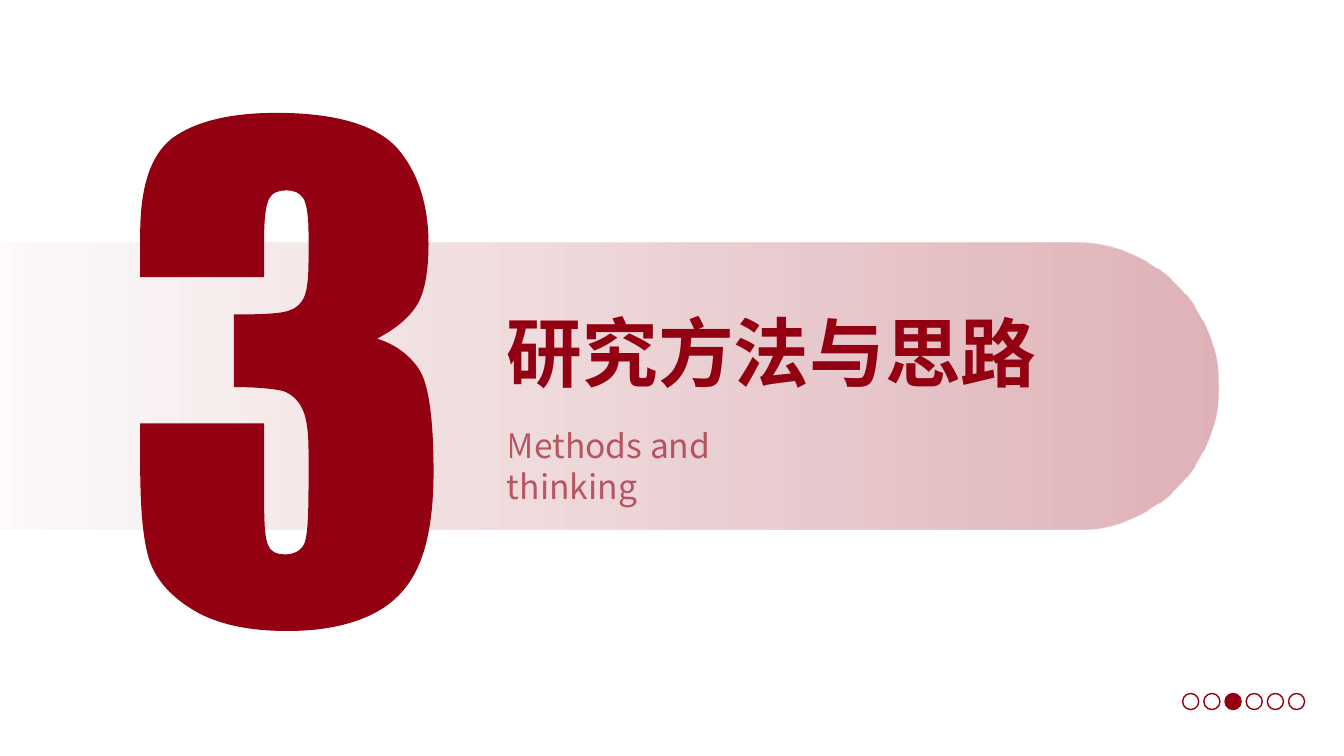
from lxml import etree
from pptx import Presentation
from pptx import util as u
from pptx.dml.color import RGBColor
from pptx.enum import shapes, text
from pptx.oxml.ns import qn

PX = 9144  # EMU per px, 100 px to the inch
COLORS = {"crimson": "920011"}
FONT = "Noto Sans CJK SC"

# Outline of the numeral: two numbers draw a line, six a cubic curve
NUMERAL_START = (274, 112)
NUMERAL_STEPS = [
    (333, 112, 373, 124, 394, 147), (414, 170, 425, 202, 425, 242),
    (425, 270, 421, 290, 414, 302), (406, 315, 393, 326, 374, 336),
    (393, 342, 407, 353, 416, 367), (425, 381, 430, 415, 430, 468),
    (430, 507, 425, 538, 416, 559), (407, 581, 392, 598, 370, 609),
    (348, 620, 320, 626, 285, 626), (246, 626, 215, 619, 193, 606),
    (171, 593, 156, 577, 149, 558), (142, 539, 139, 506, 139, 459),
    (139, 420), (262, 420), (262, 500),
    (262, 521, 263, 535, 266, 541), (268, 547, 274, 550, 283, 550),
    (292, 550, 299, 546, 302, 539), (305, 531, 306, 512, 306, 481),
    (306, 447),
    (306, 428, 304, 414, 300, 406), (296, 397, 289, 391, 281, 388),
    (273, 386, 256, 384, 232, 384),
    (232, 312),
    (262, 312, 280, 311, 287, 308), (294, 306, 299, 301, 302, 294),
    (305, 286, 306, 274, 306, 258),
    (306, 231),
    (306, 214, 304, 202, 301, 197), (297, 191, 292, 189, 284, 189),
    (276, 189, 270, 191, 267, 197), (264, 203, 262, 215, 262, 234),
    (262, 275), (139, 275), (139, 233),
    (139, 186, 149, 154, 171, 137), (193, 121, 227, 112, 274, 112),
]


def color(name):
    return RGBColor.from_string(COLORS[name])


def set_alpha(color_element, percent):
    etree.SubElement(color_element, qn("a:alpha"), val=str(percent * 1000))


def fill_solid(shape):
    shape.fill.solid()
    shape.fill.fore_color.rgb = color("crimson")


def add_shape(page, kind, *bounds):
    shape = page.shapes.add_shape(kind, *(n * PX for n in bounds))
    shape.shadow.inherit = False
    return shape


def add_fading_pill(page, *bounds):
    pill = add_shape(page, shapes.MSO_SHAPE.ROUNDED_RECTANGLE, *bounds)
    pill.adjustments[0] = 0.5
    pill.line.fill.background()
    pill.fill.gradient()
    pill.fill.gradient_angle = 0
    for stop, position in zip(pill.fill.gradient_stops, (0.2, 1)):
        stop.position = position
        stop.color.rgb = color("crimson")
    for element, alpha in zip(pill._element.spPr.iter(qn("a:srgbClr")), (0, 30)):
        set_alpha(element, alpha)


def add_numeral(page):
    builder = page.shapes.build_freeform(*NUMERAL_START, scale=PX)
    builder.add_line_segments([step[-2:] for step in NUMERAL_STEPS], close=True)
    numeral = builder.convert_to_shape()
    numeral.shadow.inherit = False
    fill_solid(numeral)
    numeral.line.fill.background()

    # Bend the straight segments that have control points
    left, top = numeral.left // PX, numeral.top // PX
    segments = list(numeral._element.spPr.iter(qn("a:lnTo")))
    for segment, step in zip(segments, NUMERAL_STEPS):
        if len(step) == 6:
            segment.tag = qn("a:cubicBezTo")
            for i in (2, 0):
                point = segment.makeelement(
                    qn("a:pt"), {"x": str(step[i] - left), "y": str(step[i + 1] - top)})
                segment.insert(0, point)


def add_label(page, words, bounds, size, bold=False, alpha=100):
    box = page.shapes.add_textbox(*(n * PX for n in bounds))
    frame = box.text_frame
    frame.word_wrap = True
    frame.auto_size = text.MSO_AUTO_SIZE.SHAPE_TO_FIT_TEXT
    span = frame.paragraphs[0].add_run()
    span.text = words
    font = span.font
    font.size, font.bold, font.name = u.Pt(size), bold, FONT
    font.color.rgb = color("crimson")
    properties = span._r.get_or_add_rPr()
    properties.find(qn("a:latin")).addnext(
        properties.makeelement(qn("a:ea"), {"typeface": FONT}))
    if alpha < 100:
        set_alpha(next(properties.iter(qn("a:srgbClr"))), alpha)


def add_progress_dots(page, count, current):
    for i in range(count):
        dot = add_shape(page, shapes.MSO_SHAPE.OVAL, 1173 + 21 * i, 688, 16, 16)
        dot.line.color.rgb = color("crimson")
        dot.line.width = u.Pt(1)
        if i + 1 == current:
            fill_solid(dot)
        else:
            dot.fill.background()


def main():
    deck = Presentation()
    deck.slide_width, deck.slide_height = 1333 * PX, 750 * PX
    page = deck.slides.add_slide(deck.slide_layouts[6])

    # Band and section number
    add_fading_pill(page, -382, 241, 1590, 284)
    add_numeral(page)

    # Section title
    add_label(page, "研究方法与思路", (493, 299, 550, 101), 54, bold=True)
    add_label(page, "Methods and thinking", (493, 417, 353, 50), 24, alpha=60)

    # Progress
    add_progress_dots(page, count=6, current=3)

    deck.save("out.pptx")


if __name__ == "__main__":
    main()
